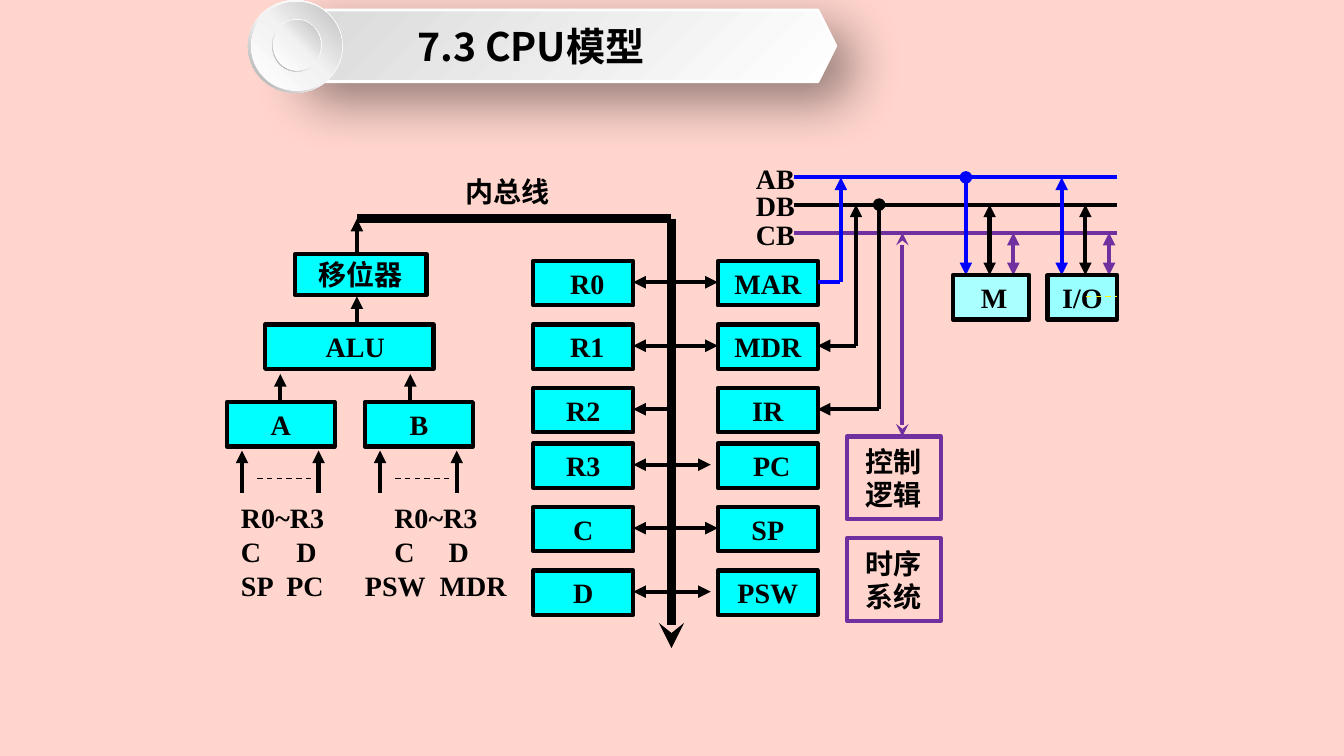
from lxml.etree import SubElement
from pptx import Presentation
from pptx.dml.color import RGBColor
from pptx.enum.dml import MSO_LINE
from pptx.enum.shapes import MSO_CONNECTOR, MSO_SHAPE
from pptx.enum.text import MSO_ANCHOR, PP_ALIGN
from pptx.oxml.ns import qn
from pptx.util import Inches, Pt

BACKGROUND = RGBColor(0xFF, 0xD5, 0xCD)
BLACK = RGBColor(0, 0, 0)
CYAN = RGBColor(0, 0xFF, 0xFF)
MEMORY_CYAN = RGBColor(0xAA, 0xFF, 0xFF)
DEVICE_CYAN = RGBColor(0x99, 0xFF, 0xFF)
BLUE = RGBColor(0, 0, 0xFF)
PURPLE = RGBColor(0x70, 0x30, 0xA0)
YELLOW = RGBColor(0xFF, 0xFF, 0)
WHITE = RGBColor(0xFF, 0xFF, 0xFF)
PALE = RGBColor(0xF2, 0xF2, 0xF2)
SILVER = RGBColor(0xD9, 0xD9, 0xD9)
GREY = RGBColor(0xBF, 0xBF, 0xBF)
DARK_GREY = RGBColor(0xA6, 0xA6, 0xA6)

LABEL_FONT = {"name": "Times New Roman", "size": Pt(20), "bold": True}
TITLE_FONT = {"name": "Noto Sans CJK SC", "size": Pt(28), "bold": True}
BOX_HEIGHT = 0.44


def style_font(font, values):
    """Apply font values and black colour."""
    for name, value in values.items():
        setattr(font, name, value)
    font.color.rgb = BLACK


def write_text(shape, text, values=LABEL_FONT, side=0, nudge=0):
    """Write one centred paragraph, optionally nudged sideways."""
    frame = shape.text_frame
    settings = {
        "word_wrap": True, "vertical_anchor": MSO_ANCHOR.MIDDLE,
        "margin_left": Inches(side + max(2 * nudge, 0)),
        "margin_right": Inches(side + max(-2 * nudge, 0)),
        "margin_top": 0, "margin_bottom": 0,
    }
    for name, value in settings.items():
        setattr(frame, name, value)
    paragraph = frame.paragraphs[0]
    paragraph.alignment = PP_ALIGN.CENTER
    run = paragraph.add_run()
    run.text = text
    style_font(run.font, values)


def add_box(slide, text, left, top, width, height=BOX_HEIGHT, fill=CYAN, line=BLACK, side=0, nudge=0):
    """Draw an outlined box with a centred label."""
    shape = slide.shapes.add_shape(
        MSO_SHAPE.RECTANGLE, Inches(left), Inches(top), Inches(width), Inches(height))
    shape.shadow.inherit = False
    if fill is None:
        shape.fill.background()
    else:
        shape.fill.solid()
        shape.fill.fore_color.rgb = fill
    shape.line.color.rgb = line
    shape.line.width = Pt(3)
    write_text(shape, text, side=side, nudge=nudge)


def add_label(slide, text, left, top, width):
    """Place a centred text label."""
    label = slide.shapes.add_textbox(Inches(left), Inches(top), Inches(width), Inches(BOX_HEIGHT))
    write_text(label, text)


def add_line(slide, start, end, color=BLACK, width=3, head=None, tail=None, dashed=False):
    """Draw a straight connector with optional arrowheads."""
    points = [Inches(value) for value in (*start, *end)]
    connector = slide.shapes.add_connector(MSO_CONNECTOR.STRAIGHT, *points)
    connector.line.color.rgb = color
    connector.line.width = Pt(width)
    if dashed:
        connector.line.dash_style = MSO_LINE.DASH
    properties = connector._element.spPr
    for tag, kind in (("a:headEnd", head), ("a:tailEnd", tail)):
        if kind:
            SubElement(properties.find(qn("a:ln")), qn(tag), type=kind)
    SubElement(properties, qn("a:effectLst"))


def apply_gradient(shape, angle, stops):
    """Fill a shape with a linear gradient of (percent, colour) stops."""
    shape.fill.gradient()
    shape.fill.gradient_angle = 360 - angle
    stop_list = shape._element.spPr.find(qn("a:gradFill")).find(qn("a:gsLst"))
    stop_list.clear()
    for percent, color in stops:
        stop = SubElement(stop_list, qn("a:gs"), pos=str(percent * 1000))
        SubElement(stop, qn("a:srgbClr"), val=str(color))


def add_title(slide, left, top):
    """Draw the title banner and its round button."""
    banner = slide.shapes.add_shape(
        MSO_SHAPE.HEXAGON, Inches(left + 0.32), Inches(top + 0.1), Inches(5.51), Inches(0.71))
    banner.shadow.inherit = False
    apply_gradient(banner, 225, [(0, WHITE), (100, SILVER)])
    banner.line.color.rgb = WHITE
    banner.line.width = Pt(2)
    shadow = SubElement(
        banner._element.spPr.find(qn("a:effectLst")), qn("a:outerShdw"),
        blurRad=str(Pt(38)), dist=str(Pt(19)), dir="2700000", algn="tl", rotWithShape="0")
    shadow_color = SubElement(shadow, qn("a:srgbClr"), val=str(BLACK))
    SubElement(shadow_color, qn("a:alpha"), val="42000")
    write_text(banner, "7.3 CPU模型", TITLE_FONT, nudge=-0.27)
    for run in banner.text_frame.paragraphs[0].runs:
        SubElement(run.font._element, qn("a:ea"), typeface=TITLE_FONT["name"])

    ring = (MSO_SHAPE.DONUT, 135, [(0, WHITE), (55, PALE), (100, DARK_GREY)])
    disc = (MSO_SHAPE.OVAL, 315, [(0, WHITE), (51, PALE), (100, GREY)])
    for (kind, angle, stops), x, y, width, height in (
            (ring, 0, 0, 0.94, 0.92), (disc, 0.03, 0.02, 0.9, 0.88),
            (ring, 0.24, 0.19, 0.49, 0.52), (disc, 0.25, 0.2, 0.47, 0.5)):
        shape = slide.shapes.add_shape(
            kind, Inches(left + x), Inches(top + y), Inches(width), Inches(height))
        shape.shadow.inherit = False
        shape.line.fill.background()
        apply_gradient(shape, angle, stops)
        if kind == MSO_SHAPE.DONUT:
            shape.adjustments[0] = 0.05


def add_arithmetic_unit(slide, left, top):
    """Draw the shifter, ALU, input latches and operand lists."""
    for x, bottom, tip in ((1.29, 0.35, 0), (1.29, 1.04, 0.77), (0.53, 1.82, 1.54), (1.82, 1.82, 1.54)):
        add_line(slide, (left + x, top + bottom), (left + x, top + tip), tail="triangle")
    add_box(slide, "移位器", left + 0.68, top + 0.35, 1.3, 0.41)
    add_box(slide, "ALU", left + 0.38, top + 1.05, 1.67, nudge=0.06)
    for name, x in (("A", left), ("B", left + 1.37)):
        add_box(slide, name, x, top + 1.82, 1.07)
        for arrow_x in (x + 0.15, x + 0.91):
            add_line(slide, (arrow_x, top + 2.72), (arrow_x, top + 2.3), tail="triangle")
        add_line(slide, (x + 0.3, top + 2.58), (x + 0.83, top + 2.58), width=1, dashed=True)

    operands = slide.shapes.add_textbox(Inches(left + 0.14), Inches(top + 2.79), Inches(2.75), Inches(1.04))
    frame = operands.text_frame
    for side in ("left", "right", "top", "bottom"):
        setattr(frame, f"margin_{side}", 0)
    frame.word_wrap = True
    rows = (("R0~R3\tR0~R3", (1.52,)), ("C\tD\tC\tD", (0.55, 1.52, 2.06)),
            ("SP\tPC\tPSW\tMDR", (0.45, 1.23, 1.97)))
    for index, (text, stops) in enumerate(rows):
        paragraph = frame.add_paragraph() if index else frame.paragraphs[0]
        paragraph.line_spacing = Pt(24.3)
        tab_list = SubElement(paragraph._element.get_or_add_pPr(), qn("a:tabLst"))
        for stop in stops:
            SubElement(tab_list, qn("a:tab"), pos=str(Inches(stop)), algn="l")
        run = paragraph.add_run()
        run.text = text
        style_font(run.font, LABEL_FONT)


def add_registers(slide, left, top):
    """Draw both register columns and the arrows to the inner bus."""
    pairs = (("R0", "MAR", 1.83), ("R1", "MDR", 1.83), ("R2", "IR", None),
             ("R3", "PC", 1.76), ("C", "SP", 1.83), ("D", "PSW", 1.76))
    for index, (general, special, reach) in enumerate(pairs):
        y = top + 0.63 * (index % 3) + 1.81 * (index // 3)
        start = left + (reach or 1.37)
        add_line(slide, (start, y + 0.21), (left + 0.99, y + 0.21),
                 head="triangle" if reach else None, tail="triangle")
        add_box(slide, general, left, y, 0.99, nudge=0.04 if index < 2 else 0)
        add_box(slide, special, left + 1.83, y, 0.99, nudge=0.04 if special == "PC" else 0)


def add_inner_bus(slide, left, top):
    """Draw the labelled inner bus."""
    corner = (left + 3.12, top)
    add_line(slide, (left, top), corner, width=6)
    add_line(slide, corner, (left + 3.12, top + 4.26), width=6, tail="stealth")
    add_label(slide, "内总线", left + 0.69, top - 0.49, 1.6)


def add_system_bus(slide, left, top):
    """Draw the address, data and control buses and what hangs on them."""
    data, control, device = top + 0.27, top + 0.55, top + 0.97
    for name, y, color in (("AB", top, BLUE), ("DB", data, BLACK), ("CB", control, PURPLE)):
        add_line(slide, (left, y), (left + 3.2, y), color)
        add_label(slide, name, left - 0.61, y - 0.21, 0.84)

    port = left + 0.23
    links = (
        (port, top + 1.04, left + 0.45, top + 1.04, BLUE, None, None),
        (left + 0.46, top + 1.04, left + 0.46, top, BLUE, None, "triangle"),
        (left + 0.61, top + 1.67, port, top + 1.67, BLACK, None, "triangle"),
        (left + 0.61, top + 1.67, left + 0.61, data, BLACK, None, "triangle"),
        (left + 0.84, data, left + 0.84, top + 2.3, BLACK, "oval", None),
        (left + 0.84, top + 2.3, port, top + 2.3, BLACK, None, "triangle"),
        (left + 1.07, control, left + 1.07, top + 2.57, PURPLE, "stealth", "stealth"))
    for x1, y1, x2, y2, color, head, tail in links:
        add_line(slide, (x1, y1), (x2, y2), color, head=head, tail=tail)

    for x, address_head in ((left + 1.7, "oval"), (left + 2.65, "triangle")):
        for step, y, color, head in ((0, top, BLUE, address_head), (0.235, data, BLACK, "triangle"),
                                     (0.47, control, PURPLE, "triangle")):
            add_line(slide, (x + step, y), (x + step, device), color, head=head, tail="triangle")
    add_box(slide, "M", left + 1.57, device, 0.76, fill=MEMORY_CYAN, nudge=0.03)
    add_box(slide, "I/O", left + 2.51, device, 0.69, fill=DEVICE_CYAN)
    add_line(slide, (left + 2.89, top + 1.18), (left + 3.2, top + 1.18), YELLOW, 1, dashed=True)
    for text, y in (("控制逻辑", top + 2.57), ("时序系统", top + 3.58)):
        add_box(slide, text, left + 0.52, y, 0.93, 0.82, None, PURPLE, side=0.1)


def main():
    """Build and save the CPU model slide."""
    presentation = Presentation()
    presentation.slide_width, presentation.slide_height = Inches(13.33), Inches(7.5)
    slide = presentation.slides.add_slide(presentation.slide_layouts[6])
    slide.background.fill.solid()
    slide.background.fill.fore_color.rgb = BACKGROUND
    add_arithmetic_unit(slide, 2.25, 2.17)
    add_inner_bus(slide, 3.54, 2.17)
    add_registers(slide, 5.29, 2.59)
    add_system_bus(slide, 7.88, 1.76)
    add_title(slide, 2.46, 0)
    presentation.save("out.pptx")


if __name__ == "__main__":
    main()
